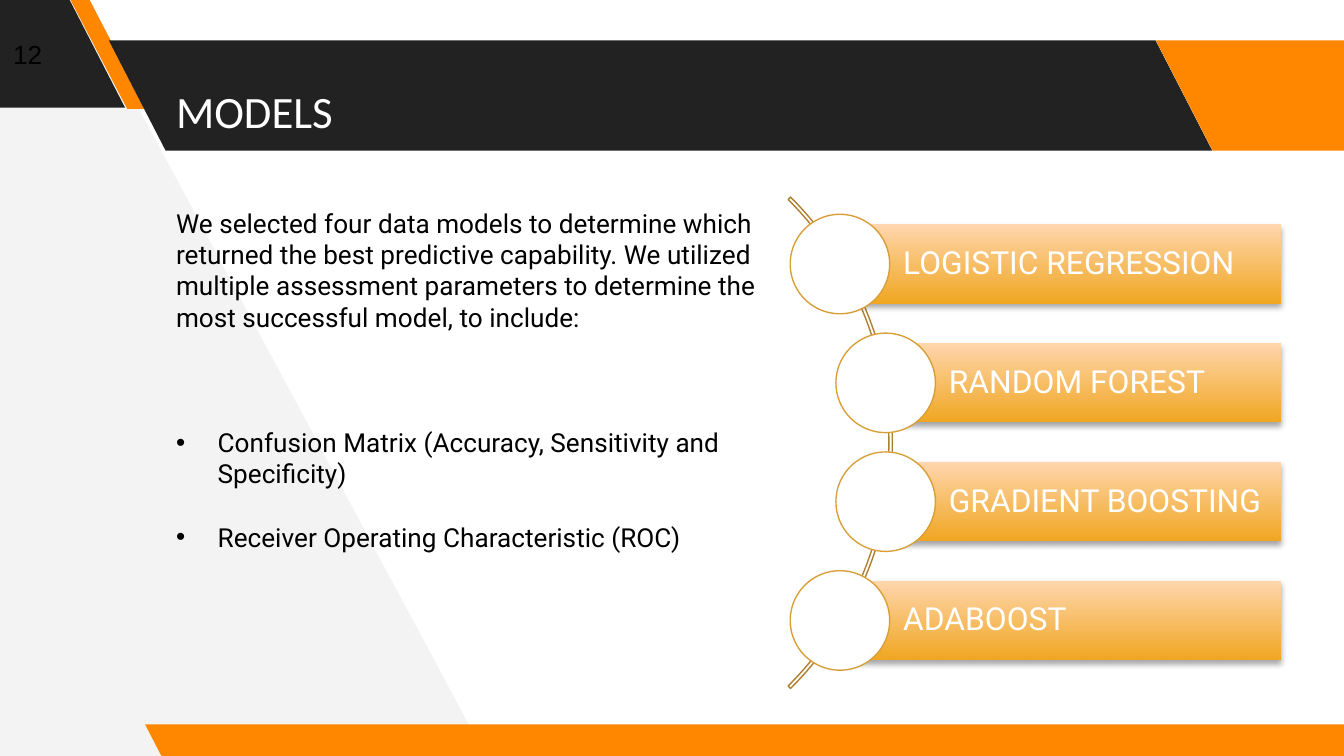
"""Build the MODELS slide: intro text, bullet list and a curved list of four models."""
from lxml import etree
from pptx import Presentation, util as u
from pptx.dml.color import RGBColor
from pptx.enum import shapes, text
from pptx.oxml import ns

deck = Presentation()
deck.slide_width = u.Inches(10)
deck.slide_height = deck.slide_width * 9 // 16
page = deck.slides.add_slide(deck.slide_layouts[1])
unit = deck.slide_width // 100
kinds = shapes.MSO_SHAPE
dark, flame, white, black = "222222", "FF8700", "FFFFFF", "000000"


def tint(part, code):
    """Give a fill or a font a solid colour."""
    if hasattr(part, "solid"):
        part.solid()
        part.fore_color.rgb = RGBColor.from_string(code)
    else:
        part.color.rgb = RGBColor.from_string(code)


def draw(kind, box, fill=None, line=None):
    """Add a flat shape whose box is given in grid columns and rows."""
    item = page.shapes.add_shape(kind, *(int(n * unit) for n in box))
    item.shadow.inherit = False
    if fill:
        tint(item.fill, fill)
    else:
        item.fill.background()
    if line:
        tint(item.line.fill, line)
        item.line.width = u.Pt(0.75)
    else:
        item.line.fill.background()
    return item


pen = page.shapes.build_freeform(35.6, 56.2, scale=unit)
pen.add_line_segments([(6.2, -0.4), (-0.6, -0.4), (-0.2, 56.6)])
wedge = pen.convert_to_shape()
wedge.shadow.inherit = False
tint(wedge.fill, "F3F3F3")
wedge.line.fill.background()

for box, slant, fill in [
    ((-9.9, -0.2, 19.2, 8.2), 0.515, dark),
    ((5.2, -0.1, 5.7, 8.2), 0.75, flame),
    ((8.1, 3, 82.1, 8.2), 0.515, dark),
    ((86, 3, 19.2, 8.2), 0.515, flame),
    ((10.8, 53.9, 91.5, 2.5), 0.515, flame),
]:
    band = draw(kinds.PARALLELOGRAM, box, fill)
    band.adjustments[0] = slant
    band.element.spPr.get_or_add_xfrm().set("flipH", "1")

title, body = page.placeholders
for hold, box in [(title, (12.1, 3, 73.5, 8.2)), (body, (12.1, 14.9, 49.3, 29.3))]:
    hold.left, hold.top, hold.width, hold.height = (int(n * unit) for n in box)
    hold.element.getparent().append(hold.element)
    hold.text_frame.auto_size = text.MSO_AUTO_SIZE.NONE

head = title.text_frame
head.text = "MODELS"
head.vertical_anchor = text.MSO_ANCHOR.BOTTOM
head.margin_left = head.margin_right = head.margin_top = head.margin_bottom = unit
head.paragraphs[0].alignment = text.PP_ALIGN.LEFT

items = [
    ("We selected four data models to determine which returned the best predictive "
     "capability. We utilized multiple assessment parameters to determine the most "
     "successful model, to include:", 0, False),
    ("Confusion Matrix (Accuracy, Sensitivity and Specificity)", 50.3, True),
    ("Receiver Operating Characteristic (ROC)", 17.2, True),
]
copy = body.text_frame
copy.text = "\n".join(words for words, gap, mark in items)
for para, (words, gap, mark) in zip(copy.paragraphs, items):
    para.space_before = u.Pt(gap)
    props = para._p.get_or_add_pPr()
    dent = u.Inches(0.31) if mark else 0
    props.set("marL", str(dent))
    props.set("indent", str(-dent))
    if mark:
        etree.SubElement(props, ns.qn("a:buFont"), typeface="Arial")
        etree.SubElement(props, ns.qn("a:buChar"), char="•")
    else:
        etree.SubElement(props, ns.qn("a:buNone"))

count = page.shapes.add_textbox(0, int(2.4 * unit), 8 * unit, 3 * unit).text_frame
count.word_wrap = True
count.text = "12"
looks = [(head, "Calibri", 24, white), (copy, "Roboto", 14, black),
         (count, "Arial", 14, black)]

arc = draw(kinds.BLOCK_ARC, (14.7, 7.1, 51.7, 51.7), line="AD7F2E")
for spot, value in enumerate((189, 27, 0.005)):
    arc.adjustments[spot] = value

right, first, step = 95.3, 16.7, 8.84
models = [("LOGISTIC REGRESSION", 62.5), ("RANDOM FOREST", 65.9),
          ("GRADIENT BOOSTING", 65.9), ("ADABOOST", 62.5)]
for row, (name, left) in enumerate(models):
    top = first + row * step
    bar = draw(kinds.RECTANGLE, (left, top, right - left, 5.9))
    bar.fill.gradient()
    bar.fill.gradient_angle = 90
    for stop, code in zip(bar.fill.gradient_stops, ("F0A621", "FFD6AD")):
        tint(stop, code)
    glow = etree.SubElement(
        bar.element.spPr.find(ns.qn("a:effectLst")), ns.qn("a:outerShdw"),
        blurRad=str(u.Pt(3.1)), dist=str(u.Pt(1.8)), dir="5400000", rotWithShape="0")
    shade = etree.SubElement(glow, ns.qn("a:srgbClr"), val=black)
    etree.SubElement(shade, ns.qn("a:alpha"), val="35000")
    label = bar.text_frame
    label.text = name
    label.vertical_anchor = text.MSO_ANCHOR.MIDDLE
    label.margin_left = u.Inches(0.47)
    label.margin_right = label.margin_top = label.margin_bottom = u.Inches(0.05)
    label.paragraphs[0].alignment = text.PP_ALIGN.LEFT
    label.paragraphs[0].line_spacing = 0.9
    looks.append((label, "Roboto", 17, white))
    draw(kinds.OVAL, (left - 3.7, top - 0.75, 7.4, 7.4), white, "D89F39")

for frame, face, size, code in looks:
    for para in frame.paragraphs:
        for run in para.runs:
            run.font.name, run.font.size = face, u.Pt(size)
            tint(run.font, code)

deck.save("out.pptx")
